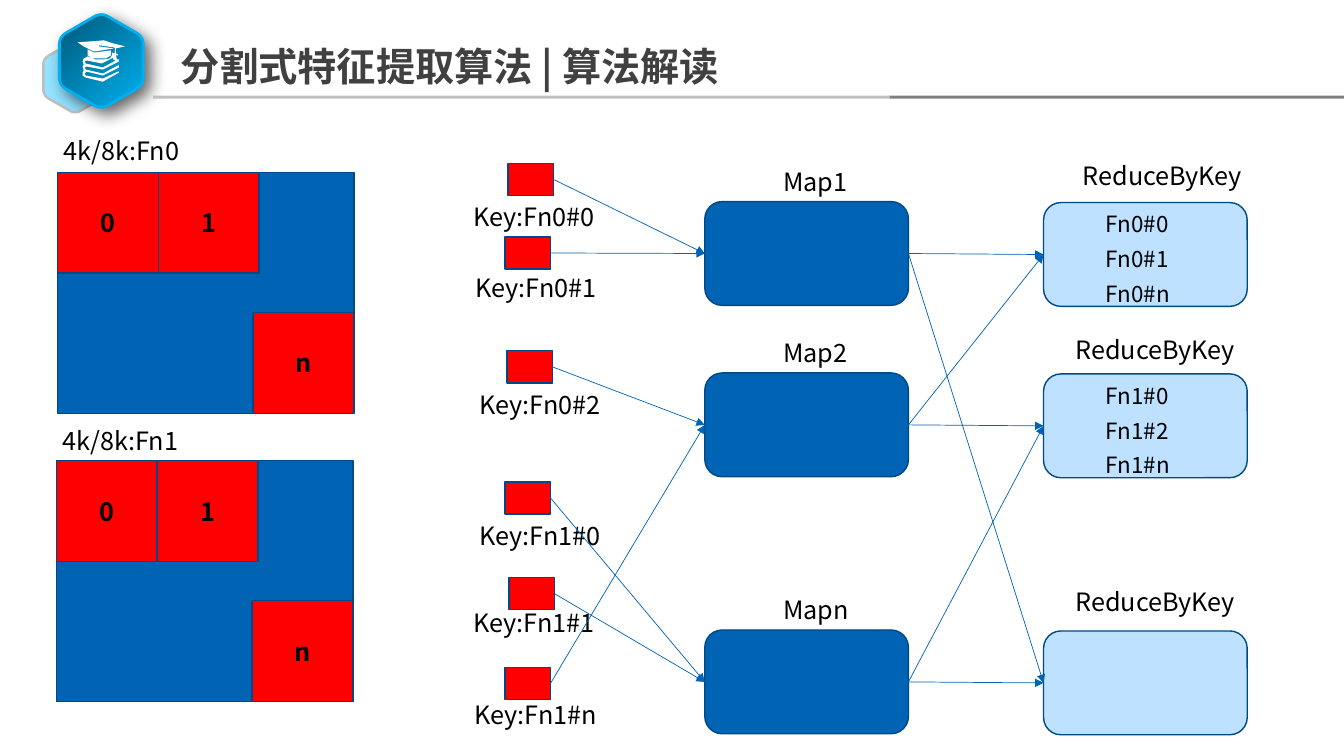
"""Build the slide on the split feature extraction algorithm."""
from dataclasses import dataclass
from math import cos, pi, sin

from lxml import etree
from pptx import Presentation
from pptx.dml.color import RGBColor
from pptx.enum.shapes import MSO_CONNECTOR, MSO_SHAPE
from pptx.enum.text import MSO_ANCHOR, PP_ALIGN
from pptx.oxml.ns import qn
from pptx.util import Inches, Pt

RECT, ROUND = MSO_SHAPE.RECTANGLE, MSO_SHAPE.ROUNDED_RECTANGLE
STRAIGHT = MSO_CONNECTOR.STRAIGHT
LEFT, CENTER = PP_ALIGN.LEFT, PP_ALIGN.CENTER
TOP, MIDDLE = MSO_ANCHOR.TOP, MSO_ANCHOR.MIDDLE
LEFT_SITE, RIGHT_SITE = 1, 3
FONT = "Noto Sans CJK SC"
COLORS = {
    "blue": "0063B4", "edge": "004985", "red": "FF0000", "pale": "BDE1FF",
    "black": "000000", "white": "FFFFFF", "title": "404040", "rule_dark": "808080",
    "rule_light": "BFBFBF", "badge_back": "93E2FF", "badge": "00B0F0", "badge_dark": "005878",
}
Contour = list[tuple[float, float]]
CAP_AND_BOOKS: list[Contour] = [
    [(1.02, .75), (1.18, .67), (1.18, .65), (1.17, .65), (1.02, .73), (.85, .69), (.84, .67),
     (.86, .66), (1.02, .69), (1.18, .61), (1.18, .59), (1.16, .59), (1.15, .55), (1.17, .55),
     (1.17, .54), (1.15, .53), (1.15, .48), (1.24, .46), (1.12, .43), (1.03, .4), (.91, .41),
     (.77, .42), (.83, .46), (.93, .51), (.95, .51), (1.13, .48), (.98, .46), (.98, .45),
     (1.13, .47), (1.14, .48), (1.14, .52), (1.13, .53), (1.11, .52), (1.11, .55), (1.09, .58),
     (1.03, .59), (.94, .59), (.87, .56), (.83, .58), (.82, .61), (.83, .64), (.82, .66),
     (.83, .7), (.82, .72), (.82, .75), (.85, .77), (1.02, .81), (1.18, .72), (1.18, .71),
     (1.17, .71), (1.02, .78), (.85, .75), (.84, .73), (.86, .71)],
    [(1.1, .5), (1.1, .55), (1.05, .58), (.92, .58), (.87, .55), (.87, .49), (.93, .52),
     (.95, .52)],
    [(1.15, .6), (1.02, .67), (.85, .63), (.84, .61), (.86, .6), (1.01, .63), (1.13, .57),
     (1.12, .59)],
]


@dataclass
class Frame:
    label: str
    x: float
    y: float
    label_y: float


@dataclass
class Key:
    label: str
    x: float
    y: float
    label_x: float
    label_y: float
    target: int


@dataclass
class Stage:
    label: str
    y: float
    label_x: float
    label_y: float
    items: tuple[str, ...] = ()


FRAMES = [Frame("4k/8k:Fn0", .57, 1.71, 1.29), Frame("4k/8k:Fn1", .56, 4.57, 4.17)]
KEYS = [
    Key("Key:Fn0#0", 5.04, 1.62, 4.6, 1.95, 0),
    Key("Key:Fn0#1", 5.01, 2.35, 4.62, 2.65, 0),
    Key("Key:Fn0#2", 5.03, 3.48, 4.66, 3.81, 1),
    Key("Key:Fn1#0", 5.01, 4.78, 4.66, 5.11, 2),
    Key("Key:Fn1#1", 5.05, 5.73, 4.6, 5.98, 2),
    Key("Key:Fn1#n", 5.01, 6.62, 4.61, 6.89, 1),
]
MAPS = [Stage("Map1", 2, 7.67, 1.6), Stage("Map2", 3.7, 7.67, 3.3),
        Stage("Mapn", 6.25, 7.67, 5.85)]
REDUCERS = [
    Stage("ReduceByKey", 2.01, 10.64, 1.54, ("Fn0#0", "Fn0#1", "Fn0#n")),
    Stage("ReduceByKey", 3.71, 10.57, 3.27, ("Fn1#0", "Fn1#2", "Fn1#n")),
    Stage("ReduceByKey", 6.26, 10.57, 5.77),
]
SHUFFLE = [(0, 0), (1, 0), (1, 1), (0, 2), (2, 1), (2, 2)]


def rgb(name: str) -> RGBColor:
    return RGBColor.from_string(COLORS[name])


def write(sp, text: str, *, size: float = 18, color: str = "black", bold: bool = False,
          align=LEFT, anchor=TOP, wrap: bool = False) -> None:
    tf = sp.text_frame
    tf.word_wrap, tf.vertical_anchor = wrap, anchor
    p = tf.paragraphs[0]
    p.alignment = align
    r = p.add_run()
    r.text = text
    r.font.name, r.font.size, r.font.bold = FONT, Pt(size), bold
    r.font.color.rgb = rgb(color)
    etree.SubElement(r.font._element, qn("a:ea"), typeface=FONT)


def add_text(s, text: str, x: float, y: float, w: float, h: float = .4, **fmt) -> None:
    write(s.shapes.add_textbox(Inches(x), Inches(y), Inches(w), Inches(h)), text, **fmt)


def paint(sp, fill: str, line: str | None = None, width: float = 1):
    sp.shadow.inherit = False
    sp.fill.solid()
    sp.fill.fore_color.rgb = rgb(fill)
    if line:
        sp.line.color.rgb = rgb(line)
        sp.line.width = Pt(width)
    else:
        sp.line.fill.background()
    return sp


def add_box(s, x: float, y: float, w: float, h: float, fill: str,
            line: str | None = "edge", kind=RECT):
    return paint(s.shapes.add_shape(kind, Inches(x), Inches(y), Inches(w), Inches(h)), fill, line)


def add_outline(s, contours: list[Contour]):
    scaled = [[(Inches(x), Inches(y)) for x, y in c] for c in contours]
    fb = s.shapes.build_freeform(*scaled[0][0])
    for i, points in enumerate(scaled):
        if i:
            fb.move_to(*points[0])
        fb.add_line_segments(points[1:], close=True)
    return fb.convert_to_shape()


def hexagon(cx: float, cy: float, radius: float, trim: float) -> Contour:
    corners = [(cx + radius * sin(i * pi / 3), cy - radius * cos(i * pi / 3)) for i in range(6)]
    points = []
    for i, (x, y) in enumerate(corners):
        (px, py), (nx, ny) = corners[i - 1], corners[(i + 1) % 6]
        for step in range(9):
            t = step / 8
            a, b = (1 - t) ** 2 * trim / radius, t ** 2 * trim / radius
            points.append((x + a * (px - x) + b * (nx - x), y + a * (py - y) + b * (ny - y)))
    return points


def add_arrow(s, start, end) -> None:
    c = s.shapes.add_connector(STRAIGHT, 0, 0, 0, 0)
    c.begin_connect(start, RIGHT_SITE)
    c.end_connect(end, LEFT_SITE)
    c.line.color.rgb = rgb("blue")
    c.line.width = Pt(.5)
    etree.SubElement(c.line._get_or_add_ln(), qn("a:tailEnd"), type="triangle")
    etree.SubElement(c._element.spPr, qn("a:effectLst"))


def add_badge(s) -> None:
    paint(add_outline(s, [hexagon(.745, .765, .364, .06)]), "badge_back", "rule_light", 1.75)
    sp = paint(add_outline(s, [hexagon(1.005, .605, .48, .08)]), "badge", "badge", 2)
    sp.fill.gradient()
    sp.fill.gradient_angle = 135
    for stop, name in zip(sp.fill.gradient_stops, ("badge", "badge_dark")):
        stop.color.rgb = rgb(name)
    effects = sp._element.spPr.find(qn("a:effectLst"))
    shadow = etree.SubElement(effects, qn("a:outerShdw"), blurRad=str(Pt(12)),
                              dist=str(Pt(6)), dir="2700000", algn="tl", rotWithShape="0")
    tint = etree.SubElement(shadow, qn("a:srgbClr"), val=COLORS["black"])
    etree.SubElement(tint, qn("a:alpha"), val="60000")
    paint(add_outline(s, CAP_AND_BOOKS), "white")


def add_frame(s, frame: Frame) -> None:
    add_text(s, frame.label, frame.x - .04, frame.label_y, 1.39)
    add_box(s, frame.x, frame.y, 2.94, 2.39, "blue")
    for label, dx, dy in (("0", 0, 0), ("1", 1, 0), ("n", 1.94, 1.39)):
        tile = add_box(s, frame.x + dx, frame.y + dy, 1, 1, "red")
        write(tile, label, bold=True, align=CENTER, anchor=MIDDLE)


def add_stage(s, stage: Stage, x: float, fill: str, label_w: float):
    sp = add_box(s, x, stage.y, 2.02, 1.03, fill, kind=ROUND)
    add_text(s, stage.label, stage.label_x, stage.label_y, label_w)
    for i, item in enumerate(stage.items):
        add_text(s, item, x + .52, stage.y + .03 + .345 * i, 1.21, .37, size=16, wrap=True)
    return sp


def main() -> None:
    prs = Presentation()
    prs.slide_width, prs.slide_height = Inches(13.33), Inches(7.5)
    s = prs.slides.add_slide(prs.slide_layouts[6])
    add_badge(s)
    add_text(s, "分割式特征提取算法 | 算法解读", 1.69, .37, 7.49, .57,
             size=28, color="title", bold=True, wrap=True)
    add_box(s, 8.82, .95, 4.51, .03, "rule_dark", None)
    add_box(s, 1.52, .95, 7.3, .03, "rule_light", None)
    for frame in FRAMES:
        add_frame(s, frame)
    maps = [add_stage(s, stage, 6.99, "blue", .9) for stage in MAPS]
    reducers = [add_stage(s, stage, 10.35, "pale", 1.81) for stage in REDUCERS]
    for key in KEYS:
        add_text(s, key.label, key.label_x, key.label_y, 1.44)
        add_arrow(s, add_box(s, key.x, key.y, .45, .32, "red"), maps[key.target])
    for source, target in SHUFFLE:
        add_arrow(s, maps[source], reducers[target])
    prs.save("out.pptx")


if __name__ == "__main__":
    main()
